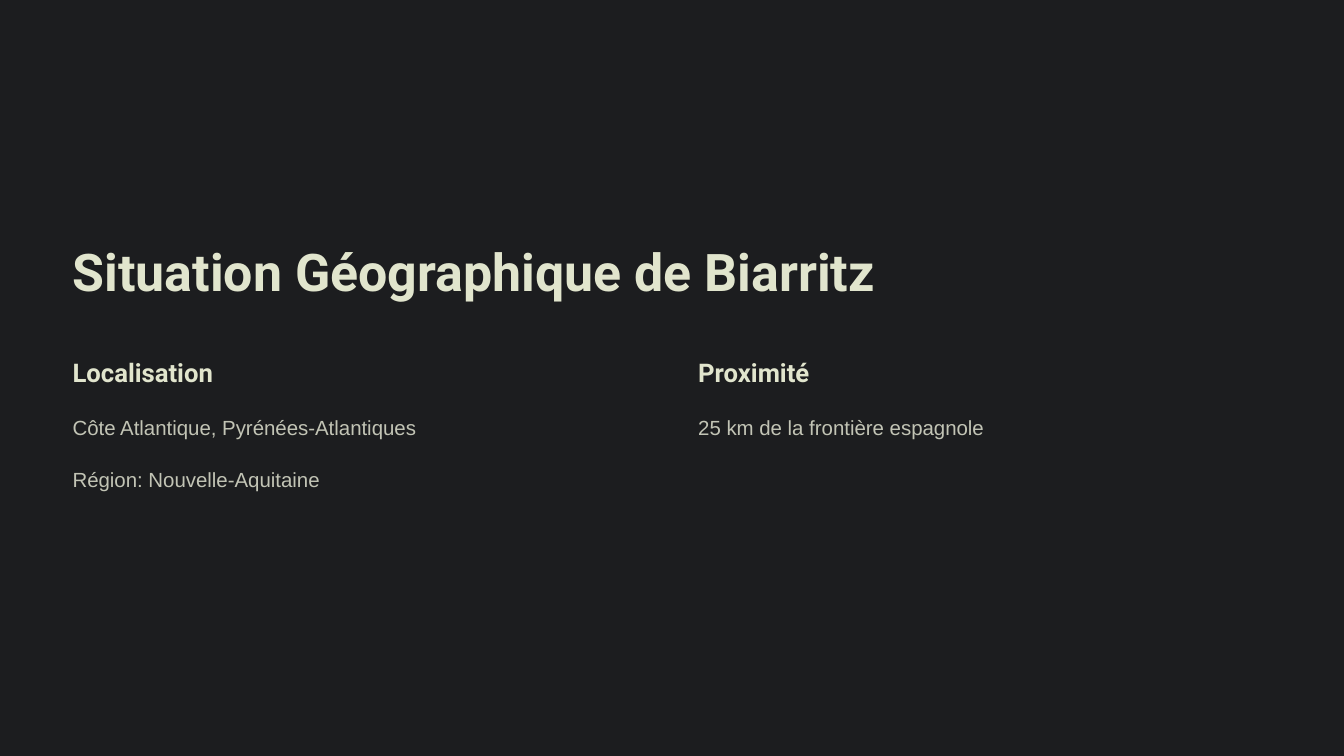
from dataclasses import dataclass

from pptx import Presentation
from pptx.dml.color import RGBColor
from pptx.enum.shapes import MSO_SHAPE
from pptx.util import Inches, Pt


@dataclass(frozen=True)
class TextStyle:
    font: str
    size: float
    line_spacing: float
    color: RGBColor
    bold: bool = False


@dataclass(frozen=True)
class Theme:
    base: RGBColor = RGBColor(0x0B, 0x10, 0x12)
    overlay: RGBColor = RGBColor(0x1C, 0x1D, 0x1F)
    title: TextStyle = TextStyle("Roboto", 55.6, 69.4, RGBColor(0xE1, 0xE5, 0xCD), True)
    heading: TextStyle = TextStyle("Roboto", 27.5, 34.4, RGBColor(0xE1, 0xE5, 0xCD), True)
    body: TextStyle = TextStyle("Arial", 21.85, 35.6, RGBColor(0xC2, 0xC4, 0xB5))


THEME = Theme()

SLIDE_WIDTH = 20
SLIDE_HEIGHT = 11.25
MARGIN = 1.08
COLUMN_WIDTH = 8.54
COLUMN_PITCH = 9.31
COLUMNS = [
    ("Localisation", ["Côte Atlantique, Pyrénées-Atlantiques", "Région: Nouvelle-Aquitaine"]),
    ("Proximité", ["25 km de la frontière espagnole"]),
]


def add_backdrop(slide, left, top, width, height):
    """Stack the base and overlay panels over the given box."""
    for color in (THEME.base, THEME.overlay):
        panel = slide.shapes.add_shape(
            MSO_SHAPE.RECTANGLE, Inches(left), Inches(top), Inches(width), Inches(height)
        )
        panel.shadow.inherit = False
        panel.fill.solid()
        panel.fill.fore_color.rgb = color
        panel.line.fill.background()


def add_line(slide, text, style, left, top, width, height):
    """Place one styled line of text in a box without insets (inches)."""
    box = slide.shapes.add_textbox(Inches(left), Inches(top), Inches(width), Inches(height))
    frame = box.text_frame
    frame.word_wrap = True
    frame.margin_left = frame.margin_right = frame.margin_top = frame.margin_bottom = 0
    frame.text = text
    paragraph = frame.paragraphs[0]
    paragraph.line_spacing = Pt(style.line_spacing)
    font = paragraph.runs[0].font
    font.name = style.font
    font.size = Pt(style.size)
    font.bold = style.bold
    font.color.rgb = style.color


def add_column(slide, heading, facts, left, top, width):
    """Place a heading with its facts evenly spaced below."""
    heading_width, first_fact, fact_pitch = 3.88, 0.75, 0.78
    add_line(slide, heading, THEME.heading, left, top, heading_width, 0.52)
    for row, fact in enumerate(facts):
        fact_top = top + first_fact + row * fact_pitch
        add_line(slide, fact, THEME.body, left, fact_top, width, 0.57)


def add_location_slide(presentation):
    slide = presentation.slides.add_slide(presentation.slide_layouts[6])
    add_backdrop(slide, 0, 0, SLIDE_WIDTH, SLIDE_HEIGHT)
    add_line(slide, "Situation Géographique de Biarritz", THEME.title, MARGIN, 3.53, 12.39, 1.02)
    for index, (heading, facts) in enumerate(COLUMNS):
        add_column(slide, heading, facts, MARGIN + index * COLUMN_PITCH, 5.29, COLUMN_WIDTH)


def main():
    presentation = Presentation()
    presentation.slide_width = Inches(SLIDE_WIDTH)
    presentation.slide_height = Inches(SLIDE_HEIGHT)
    add_location_slide(presentation)
    presentation.save("out.pptx")


if __name__ == "__main__":
    main()
